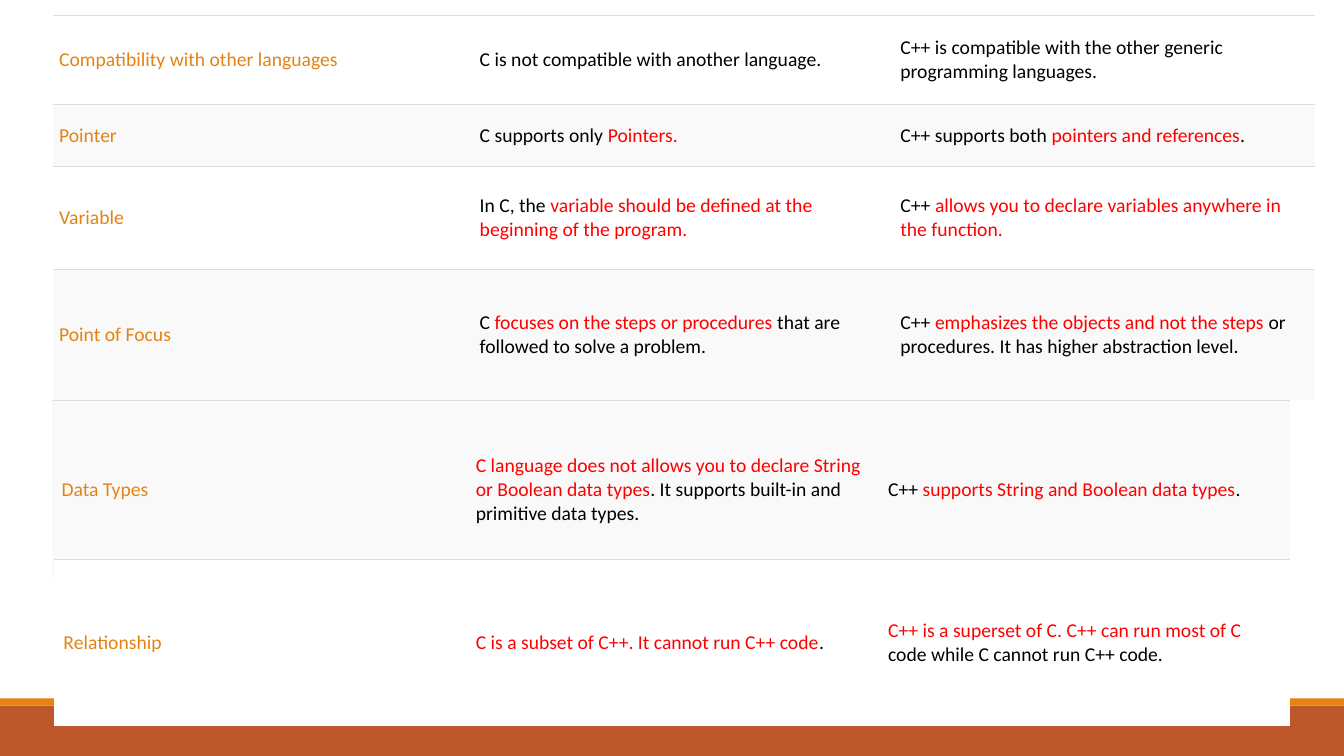
from dataclasses import dataclass

from lxml.etree import SubElement
from pptx import Presentation
from pptx.dml.color import RGBColor
from pptx.enum.shapes import MSO_SHAPE
from pptx.enum.text import MSO_ANCHOR
from pptx.oxml import parse_xml
from pptx.oxml.ns import nsdecls, qn
from pptx.slide import Slide
from pptx.table import _Cell
from pptx.util import Cm, Pt

COLORS = {
    "accent": "E48312",
    "footer": "BD582C",
    "text": "000000",
    "highlight": "FF0000",
    "rule": "DDDDDD",
    "plain": "FFFFFF",
    "shaded": "F9F9F9",
}
SLIDE_WIDTH, SLIDE_HEIGHT = 33.87, 19.05


@dataclass
class Comparison:
    """One row; in c and cpp, every second part between bars is highlighted."""
    topic: str
    c: str
    cpp: str
    height: float
    fill: str
    rules: str = "T"


@dataclass
class Section:
    left: float
    top: float
    widths: tuple[float, float, float]
    margins: tuple[float, float]
    rows: list[Comparison]


@dataclass
class Band:
    top: float
    height: float
    color: str


BANDS = [Band(17.78, 1.27, "footer"), Band(17.6, 0.18, "accent")]

SECTIONS = [
    Section(1.34, 0.38, (10.6, 10.6, 10.6), (0.15, 0.08), [
        Comparison("Compatibility with other languages",
                   "C is not compatible with another language.",
                   "C++ is compatible with the other generic programming languages.",
                   2.26, "plain", "TB"),
        Comparison("Pointer",
                   "C supports only |Pointers.",
                   "C++ supports both |pointers and references|.",
                   1.54, "shaded", "TB"),
        Comparison("Variable",
                   "In C, the |variable should be defined at the beginning of the program.",
                   "C++ |allows you to declare variables anywhere in the function.",
                   2.61, "plain", "TB"),
        Comparison("Point of Focus",
                   "C |focuses on the steps or procedures |that are followed to solve a problem.",
                   "C++ |emphasizes the objects and not the steps |or procedures. "
                   "It has higher abstraction level.",
                   3.3, "shaded"),
    ]),
    Section(1.3, 10.08, (10.44, 10.39, 10.39), (0.25, 0.13), [
        Comparison("Data Types",
                   "|C language does not allows you to declare String or Boolean data types|"
                   ". It supports built-in and primitive data types.",
                   "C++ |supports String and Boolean data types|.",
                   4.52, "shaded"),
    ]),
    Section(1.35, 14.1, (10.39, 10.39, 10.39), (0.25, 0.13), [
        Comparison("Relationship",
                   "|C is a subset of C++. It cannot run C++ code|.",
                   "|C++ is a superset of C. C++ can run most of C |"
                   "code while C cannot run C++ code.",
                   4.19, "plain"),
    ]),
]


def rgb(name: str) -> RGBColor:
    return RGBColor.from_string(COLORS[name])


def draw_band(slide: Slide, band: Band) -> None:
    strip = slide.shapes.add_shape(MSO_SHAPE.RECTANGLE, 0, Cm(band.top),
                                   Cm(SLIDE_WIDTH), Cm(band.height))
    strip.shadow.inherit = False
    strip.fill.solid()
    strip.fill.fore_color.rgb = rgb(band.color)
    strip.line.fill.background()


def set_borders(cell: _Cell, rules: str) -> None:
    """Rule the sides named in rules (letters of LRTB) and clear the others."""
    properties = cell._tc.get_or_add_tcPr()
    for position, side in enumerate("LRTB"):
        border = parse_xml(f'<a:ln{side} {nsdecls("a")} w="{Pt(0.5)}"/>')
        if side in rules:
            paint = SubElement(border, qn("a:solidFill"))
            SubElement(paint, qn("a:srgbClr"), val=COLORS["rule"])
        else:
            SubElement(border, qn("a:noFill"))
        properties.insert(position, border)


def write_cell(cell: _Cell, text: str, color: str, row: Comparison,
               margins: tuple[float, float]) -> None:
    cell.vertical_anchor = MSO_ANCHOR.MIDDLE
    cell.margin_left = cell.margin_right = Cm(margins[0])
    cell.margin_top = cell.margin_bottom = Cm(margins[1])
    cell.fill.solid()
    cell.fill.fore_color.rgb = rgb(row.fill)
    set_borders(cell, row.rules)
    paragraph = cell.text_frame.paragraphs[0]
    for index, part in enumerate(text.split("|")):
        if part:
            run = paragraph.add_run()
            run.text = part
            run.font.name = "Calibri"
            run.font.size = Pt(14)
            run.font.color.rgb = rgb("highlight" if index % 2 else color)


def draw_section(slide: Slide, section: Section) -> None:
    total_height = sum(row.height for row in section.rows)
    table = slide.shapes.add_table(
        len(section.rows), len(section.widths), Cm(section.left), Cm(section.top),
        Cm(sum(section.widths)), Cm(total_height)).table
    table.first_row = table.horz_banding = False
    for column, width in zip(table.columns, section.widths):
        column.width = Cm(width)
    for table_row, row in zip(table.rows, section.rows):
        table_row.height = Cm(row.height)
        contents = ((row.topic, "accent"), (row.c, "text"), (row.cpp, "text"))
        for cell, (text, color) in zip(table_row.cells, contents):
            write_cell(cell, text, color, row, section.margins)


def main() -> None:
    presentation = Presentation()
    presentation.slide_width = Cm(SLIDE_WIDTH)
    presentation.slide_height = Cm(SLIDE_HEIGHT)
    slide = presentation.slides.add_slide(presentation.slide_layouts[6])
    for band in BANDS:
        draw_band(slide, band)
    for section in SECTIONS:
        draw_section(slide, section)
    presentation.save("out.pptx")


if __name__ == "__main__":
    main()
